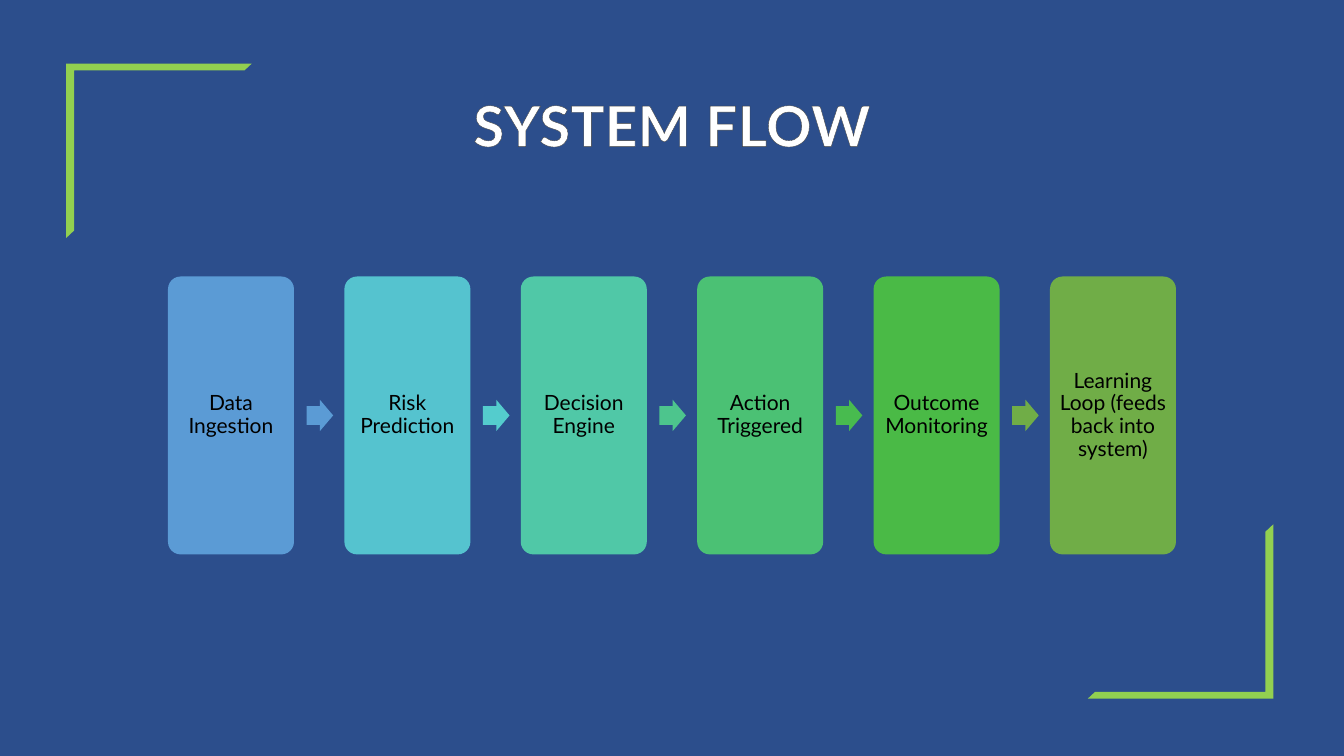
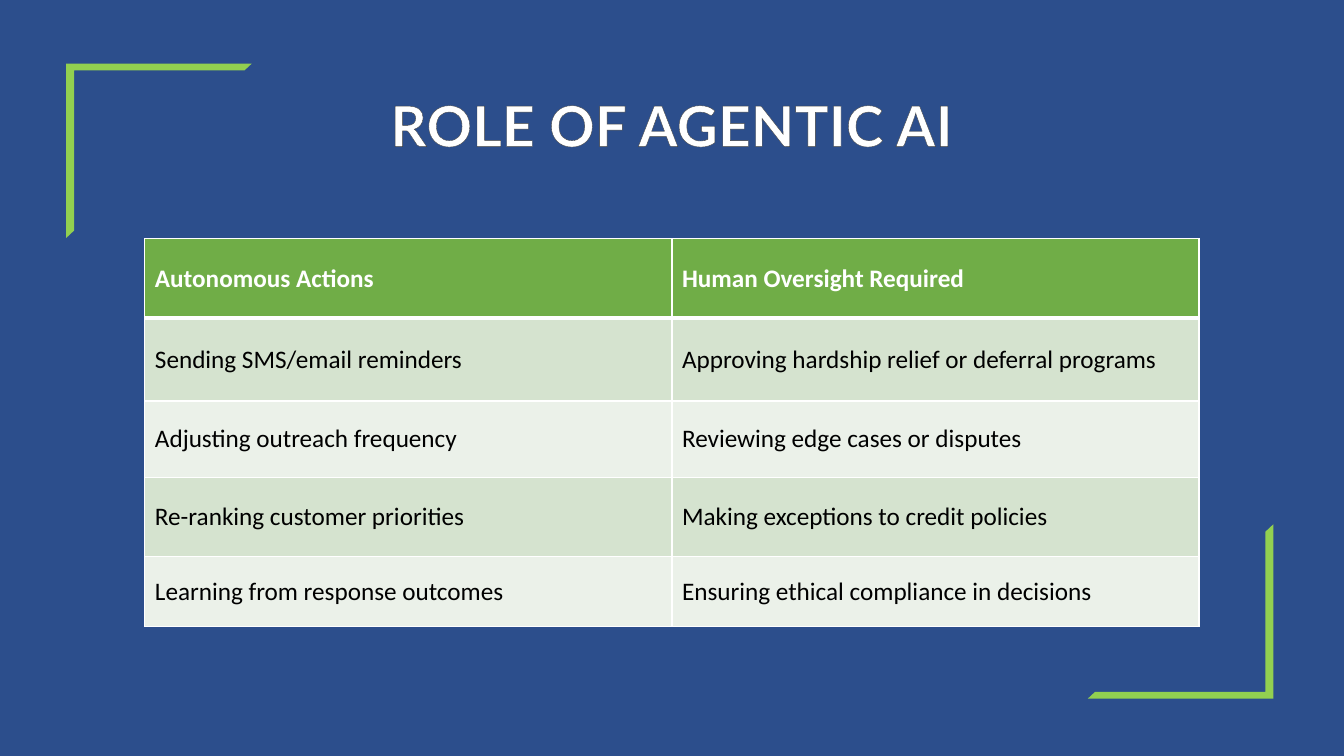
"""Build a two-slide deck on the system flow and the role of agentic AI."""
import lxml.etree
import pptx
import pptx.dml.color
import pptx.enum.shapes
import pptx.enum.text
import pptx.oxml.ns
import pptx.util

Pt = pptx.util.Pt
RGBColor = pptx.dml.color.RGBColor
Shape = pptx.enum.shapes.MSO_SHAPE
Align = pptx.enum.text.PP_ALIGN
Anchor = pptx.enum.text.MSO_ANCHOR
qn = pptx.oxml.ns.qn

NAVY = RGBColor(0x2C, 0x4E, 0x8C)
LIME = RGBColor(0x92, 0xD0, 0x50)
WHITE = RGBColor(0xFF, 0xFF, 0xFF)
BLACK = RGBColor(0x00, 0x00, 0x00)
CHARCOAL = RGBColor(0x40, 0x40, 0x40)
GREEN = RGBColor(0x70, 0xAD, 0x47)
BLUE = RGBColor(0x5B, 0x9B, 0xD5)
PALE_GREEN = RGBColor(0xD5, 0xE3, 0xCF)
PALER_GREEN = RGBColor(0xEB, 0xF1, 0xE9)

STEPS = [
    ("Data Ingestion", BLUE),
    ("Risk Prediction", RGBColor(0x55, 0xC3, 0xCF)),
    ("Decision Engine", RGBColor(0x50, 0xC8, 0xA7)),
    ("Action Triggered", RGBColor(0x4B, 0xC1, 0x74)),
    ("Outcome Monitoring", RGBColor(0x4A, 0xBA, 0x46)),
    ("Learning Loop (feeds back into system)", GREEN),
]
ARROW_COLORS = [
    BLUE,
    RGBColor(0x54, 0xCC, 0xCD),
    RGBColor(0x4D, 0xC5, 0x8D),
    RGBColor(0x48, 0xBB, 0x4F),
    GREEN,
]
ROLES = [
    ("Autonomous Actions", "Human Oversight Required"),
    ("Sending SMS/email reminders", "Approving hardship relief or deferral programs"),
    ("Adjusting outreach frequency", "Reviewing edge cases or disputes"),
    ("Re-ranking customer priorities", "Making exceptions to credit policies"),
    ("Learning from response outcomes", "Ensuring ethical compliance in decisions"),
]
ROW_HEIGHTS = [56.9, 59, 54.7, 56.2, 50.4]


class SlideBuilder:
    """Hold the deck style and the current slide."""

    def __init__(self):
        self.deck = pptx.Presentation()
        self.deck.slide_width = Pt(960)
        self.deck.slide_height = Pt(540)
        self.slide = None

    def start_slide(self, title):
        self.slide = self.deck.slides.add_slide(self.deck.slide_layouts[6])
        self.slide.background.fill.solid()
        self.slide.background.fill.fore_color.rgb = NAVY
        for left, top, rotation in ((47.3, 45.5, 0), (777, 374.5, 180)):
            corner = self.shape(Shape.HALF_FRAME, left, top, 132.5, 124.5, LIME, (0.039, 0.046))
            corner.rotation = rotation
        self.title(title)

    def shape(self, kind, left, top, width, height, color, adjustments):
        shape = self.slide.shapes.add_shape(kind, Pt(left), Pt(top), Pt(width), Pt(height))
        shape.shadow.inherit = False
        shape.fill.solid()
        shape.fill.fore_color.rgb = color
        shape.line.fill.background()
        for index, value in enumerate(adjustments):
            shape.adjustments[index] = value
        return shape

    def style(self, para, name, size, color, bold=False):
        para.font.name = name
        para.font.size = Pt(size)
        para.font.color.rgb = color
        para.font.bold = bold

    def outline(self, parent, tag, color, width, position):
        line = lxml.etree.Element(qn(tag), w=str(Pt(width)))
        fill = lxml.etree.SubElement(line, qn("a:solidFill"))
        lxml.etree.SubElement(fill, qn("a:srgbClr"), val=str(color))
        parent.insert(position, line)

    def title(self, text):
        box = self.slide.shapes.add_textbox(Pt(120), Pt(61.2), Pt(720), Pt(55.4))
        frame = box.text_frame
        frame.word_wrap = True
        frame.auto_size = pptx.enum.text.MSO_AUTO_SIZE.SHAPE_TO_FIT_TEXT
        para = frame.paragraphs[0]
        para.alignment = Align.CENTER
        self.style(para, "Lato", 40, WHITE, bold=True)
        span = para.add_run()
        span.text = text
        properties = span._r.get_or_add_rPr()
        properties.set("spc", "50")
        self.outline(properties, "a:ln", CHARCOAL, 0, 0)

    def card(self, text, left, top, width, height, color):
        card = self.shape(Shape.ROUNDED_RECTANGLE, left, top, width, height, color, (0.1,))
        frame = card.text_frame
        frame.word_wrap = True
        frame.vertical_anchor = Anchor.MIDDLE
        frame.margin_left = frame.margin_right = Pt(4.3)
        frame.margin_top = frame.margin_bottom = Pt(4.3)
        para = frame.paragraphs[0]
        para.text = text
        para.alignment = Align.CENTER
        para.line_spacing = 0.9
        self.style(para, "Lato", 15, BLACK)

    def flow(self, steps, arrow_colors):
        left, top, width, height, pitch = 120, 197.5, 90, 198.5, 126
        arrow_width, arrow_height = 19, 22.4
        arrow_top = top + (height - arrow_height) / 2
        for index, (text, color) in enumerate(steps):
            card_left = left + index * pitch
            self.card(text, card_left, top, width, height, color)
            if index < len(arrow_colors):
                self.shape(Shape.RIGHT_ARROW, card_left + width + 9, arrow_top,
                           arrow_width, arrow_height, arrow_colors[index], (0.6, 0.5))

    def cell(self, cell, text, row):
        header = row == 0
        cell.text = text
        cell.vertical_anchor = Anchor.MIDDLE
        cell.fill.solid()
        cell.fill.fore_color.rgb = GREEN if header else (PALER_GREEN, PALE_GREEN)[row % 2]
        self.style(cell.text_frame.paragraphs[0], "Calibri", 18,
                   WHITE if header else BLACK, bold=header)
        widths = {"a:lnL": 1, "a:lnR": 1, "a:lnT": 3 if row == 1 else 1, "a:lnB": 3 if header else 1}
        properties = cell._tc.get_or_add_tcPr()
        for position, (tag, width) in enumerate(widths.items()):
            self.outline(properties, tag, WHITE, width, position)

    def table(self, rows, heights):
        frame = self.slide.shapes.add_table(
            len(rows), len(rows[0]), Pt(103.5), Pt(170.5), Pt(753), Pt(sum(heights)))
        table = frame.table
        table.first_row = table.horz_banding = False
        for row, texts in enumerate(rows):
            table.rows[row].height = Pt(heights[row])
            for column, text in enumerate(texts):
                self.cell(table.cell(row, column), text, row)


def main():
    builder = SlideBuilder()
    builder.start_slide("SYSTEM FLOW")
    builder.flow(STEPS, ARROW_COLORS)
    builder.start_slide("ROLE OF AGENTIC AI")
    builder.table(ROLES, ROW_HEIGHTS)
    builder.deck.save("out.pptx")


if __name__ == "__main__":
    main()
